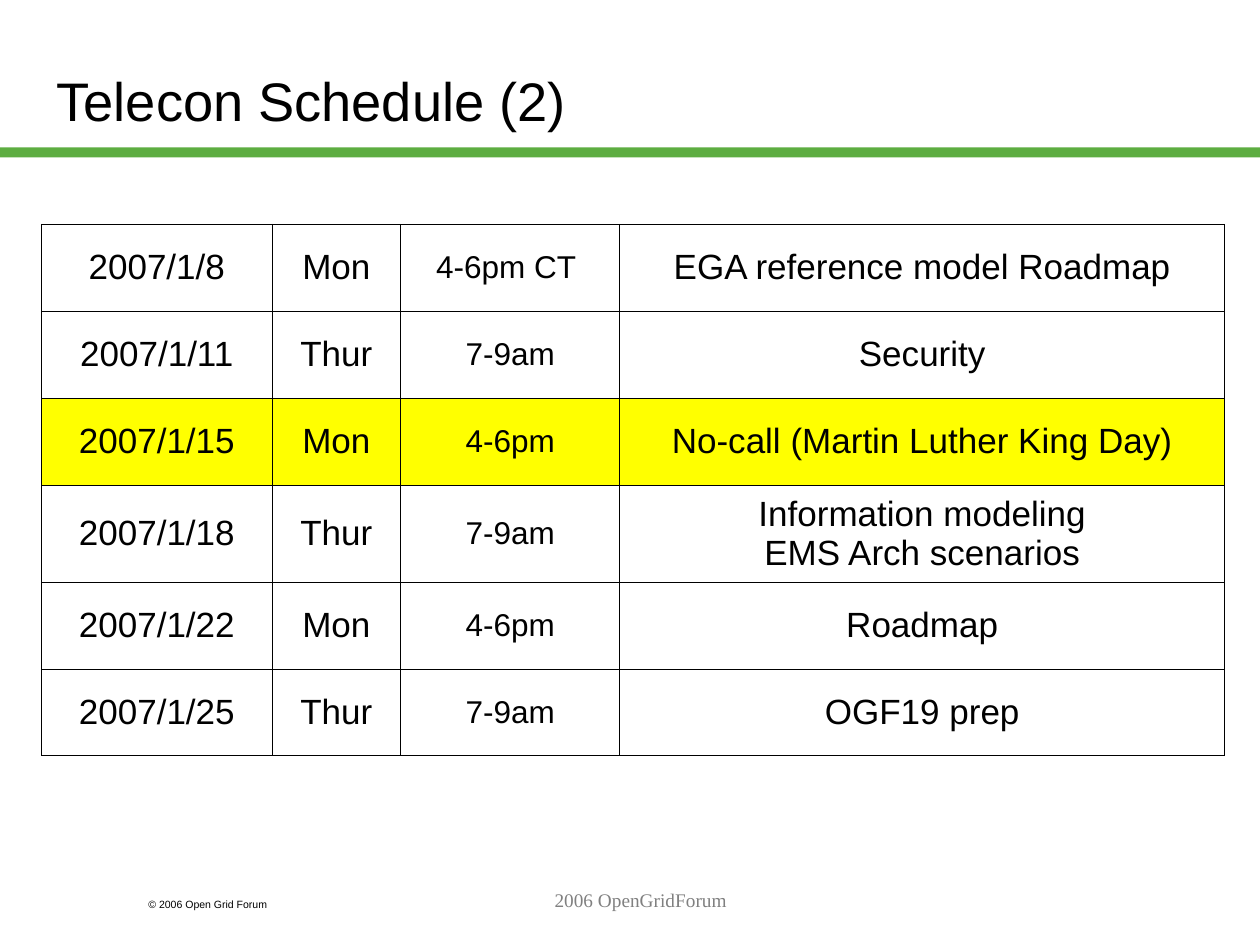
from dataclasses import dataclass

from pptx import Presentation
from pptx.dml.color import RGBColor
from pptx.enum.shapes import MSO_SHAPE
from pptx.enum.text import MSO_ANCHOR, MSO_AUTO_SIZE, PP_ALIGN
from pptx.oxml import parse_xml
from pptx.oxml.ns import nsdecls
from pptx.util import Inches, Pt


@dataclass(frozen=True)
class Theme:
    ink: str = "000000"
    muted: str = "808080"
    accent: str = "5DAD41"
    highlight: str = "FFFF00"
    sans: str = "Arial"
    serif: str = "Times New Roman"
    title_size: int = 31
    cell_size: int = 20
    time_size: int = 18
    footer_size: int = 11
    copyright_size: int = 6
    border_width: float = 0.45


class ScheduleSlide:
    """Holds the theme and the current slide."""

    def __init__(self, presentation, theme):
        self.theme = theme
        self.slide = presentation.slides.add_slide(presentation.slide_layouts[5])

    def style(self, paragraph, size, align=PP_ALIGN.LEFT, font=None, color=None):
        paragraph.alignment = align
        paragraph.font.size = Pt(size)
        paragraph.font.name = font or self.theme.sans
        paragraph.font.color.rgb = RGBColor.from_string(color or self.theme.ink)

    def band(self, left, top, width, height):
        shape = self.slide.shapes.add_shape(
            MSO_SHAPE.RECTANGLE, Inches(left), Inches(top), Inches(width), Inches(height))
        shape.shadow.inherit = False
        shape.fill.solid()
        shape.fill.fore_color.rgb = RGBColor.from_string(self.theme.accent)
        shape.line.fill.background()

    def title(self, text, left, top, width, height):
        shape = self.slide.shapes.title
        shape.left, shape.top = Inches(left), Inches(top)
        shape.width, shape.height = Inches(width), Inches(height)
        frame = shape.text_frame
        frame.text = text
        frame.auto_size = MSO_AUTO_SIZE.NONE
        frame.vertical_anchor = MSO_ANCHOR.MIDDLE
        self.style(frame.paragraphs[0], self.theme.title_size)

    def text(self, text, left, top, width, height, size, **style):
        box = self.slide.shapes.add_textbox(
            Inches(left), Inches(top), Inches(width), Inches(height))
        box.text_frame.word_wrap = True
        box.text_frame.text = text
        self.style(box.text_frame.paragraphs[0], size, **style)

    def border(self, cell):
        properties = cell._tc.get_or_add_tcPr()
        for side in ("lnL", "lnR", "lnT", "lnB"):
            properties.append(parse_xml(
                f'<a:{side} {nsdecls("a")} w="{Pt(self.theme.border_width)}">'
                f'<a:solidFill><a:srgbClr val="{self.theme.ink}"/></a:solidFill></a:{side}>'))

    def cell(self, cell, text, size, highlighted):
        self.border(cell)
        if highlighted:
            cell.fill.solid()
            cell.fill.fore_color.rgb = RGBColor.from_string(self.theme.highlight)
        else:
            cell.fill.background()
        cell.vertical_anchor = MSO_ANCHOR.MIDDLE
        cell.text = text
        for paragraph in cell.text_frame.paragraphs:
            self.style(paragraph, size, PP_ALIGN.CENTER)

    def table(self, rows, left, top, widths, heights, sizes, highlighted_row):
        table = self.slide.shapes.add_table(
            len(rows), len(widths), Inches(left), Inches(top),
            Inches(sum(widths)), Inches(sum(heights))).table
        table.first_row = table.horz_banding = False
        for column, width in zip(table.columns, widths):
            column.width = Inches(width)
        for row_index, (values, height) in enumerate(zip(rows, heights)):
            table.rows[row_index].height = Inches(height)
            for column_index, (value, size) in enumerate(zip(values, sizes)):
                self.cell(table.cell(row_index, column_index), value, size,
                          row_index == highlighted_row)


SCHEDULE = [
    ("2007/1/8", "Mon", "4-6pm CT ", "EGA reference model Roadmap"),
    ("2007/1/11", "Thur", "7-9am", "Security"),
    ("2007/1/15", "Mon", "4-6pm", "No-call (Martin Luther King Day)"),
    ("2007/1/18", "Thur", "7-9am", "Information modeling\nEMS Arch scenarios"),
    ("2007/1/22", "Mon", "4-6pm", "Roadmap"),
    ("2007/1/25", "Thur", "7-9am", "OGF19 prep"),
]


def main():
    presentation = Presentation()
    presentation.slide_width, presentation.slide_height = Inches(10), Inches(7.5)
    theme = Theme()
    page = ScheduleSlide(presentation, theme)

    # Heading with its rule
    page.band(0, 1.17, 10, 0.08)
    page.title("Telecon Schedule (2)", 0.35, 0.17, 8.9, 1.25)

    # Call schedule: rows with two topics are taller
    heights = [0.77 if "\n" in topic else 0.69 for *_, topic in SCHEDULE]
    sizes = [theme.cell_size, theme.cell_size, theme.time_size, theme.cell_size]
    page.table(SCHEDULE, 0.33, 1.78, [1.83, 1.02, 1.74, 4.8], heights, sizes,
               highlighted_row=2)

    # Footer
    page.text("© 2006 Open Grid Forum", 1.08, 7.08, 1.5, 0.2, theme.copyright_size)
    page.text("2006 OpenGridForum", 2.17, 7, 5.83, 0.5, theme.footer_size,
              align=PP_ALIGN.CENTER, font=theme.serif, color=theme.muted)

    presentation.save("out.pptx")


if __name__ == "__main__":
    main()
